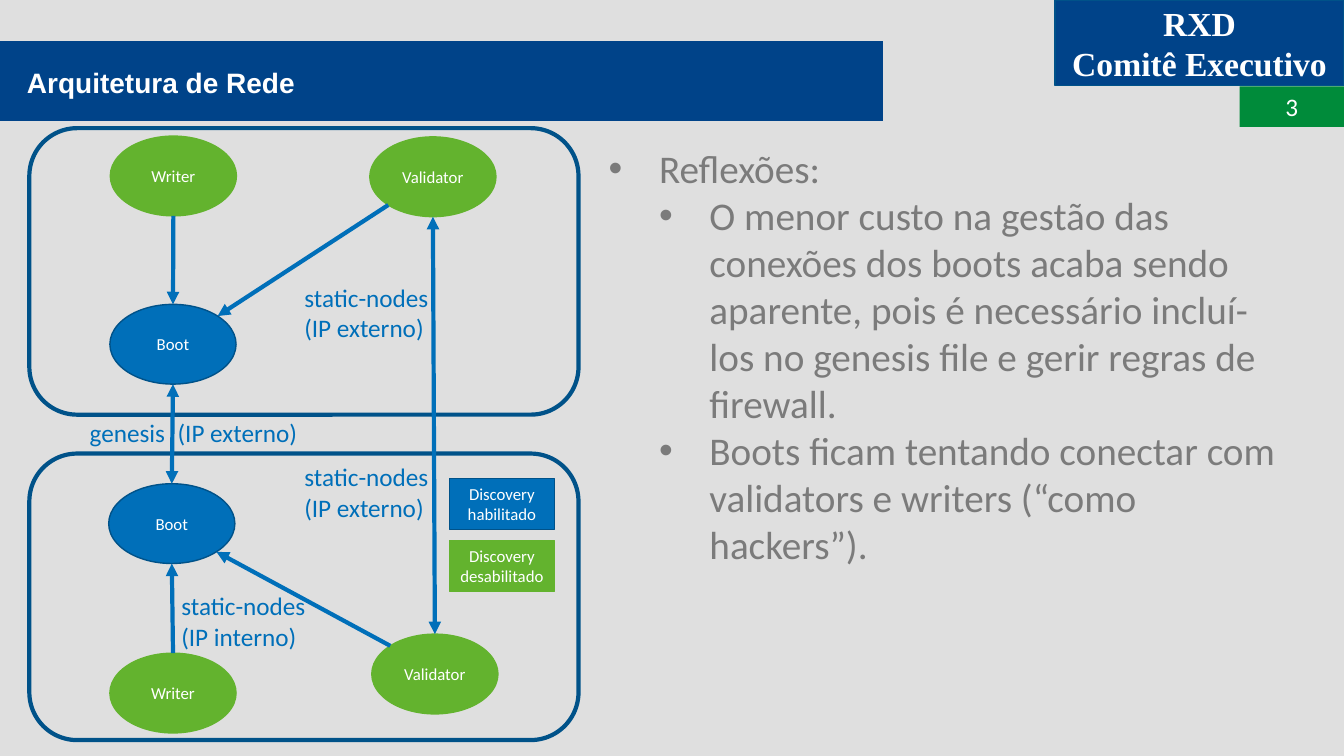
"""Build the network architecture slide."""
import math

import lxml.etree
import pptx
import pptx.dml.color
import pptx.enum.shapes
import pptx.enum.text
import pptx.oxml.ns
import pptx.util

Cm = pptx.util.Cm
Pt = pptx.util.Pt
SHAPES = pptx.enum.shapes.MSO_SHAPE
ALIGN = pptx.enum.text.PP_ALIGN
ANCHOR = pptx.enum.text.MSO_ANCHOR

NAVY, OUTLINE, BLUE, GREEN = "004389", "005289", "006FB9", "63B32E"
WHITE, GRAY = "FFFFFF", "7B7B7B"
ENABLED = {"fill": BLUE, "line": OUTLINE}
DISABLED = {"fill": GREEN, "line": GREEN}

NODE_WIDTH, NODE_HEIGHT = 3.18, 2.01
TOP, TOP_LEFT, TOP_RIGHT, BOTTOM, BOTTOM_LEFT, BOTTOM_RIGHT = 90, 135, 45, 270, 225, 315

NODES = {
    "upper writer": ("Writer", 2.78, 3.43, DISABLED),
    "upper validator": ("Validator", 9.32, 3.45, DISABLED),
    "upper boot": ("Boot", 2.77, 7.67, ENABLED),
    "lower boot": ("Boot", 2.74, 12.19, ENABLED),
    "lower writer": ("Writer", 2.77, 16.46, DISABLED),
    "lower validator": ("Validator", 9.37, 15.98, DISABLED),
}
LINKS = [
    ("upper writer", BOTTOM, "upper boot", TOP, False),
    ("upper validator", BOTTOM_LEFT, "upper boot", TOP_RIGHT, False),
    ("lower boot", TOP, "upper boot", BOTTOM, True),
    ("lower writer", TOP, "lower boot", BOTTOM, False),
    ("lower validator", TOP_LEFT, "lower boot", BOTTOM_RIGHT, False),
    ("lower validator", TOP, "upper validator", BOTTOM, True),
]
LABELS = [
    (["static-nodes", "(IP externo)"], (7.42, 6.99, 3.84, 1.8)),
    (["genesis\u2002(IP externo)"], (2.01, 10.39, 5.77, 1.02)),
    (["static-nodes", "(IP externo)"], (7.42, 11.51, 3.84, 1.8)),
    (["static-nodes", "(IP interno)"], (4.32, 14.76, 3.84, 1.8)),
]
REFLECTIONS = [
    (0, "Reflexões:"),
    (1, "O menor custo na gestão das conexões dos boots acaba sendo aparente, pois é "
        "necessário incluí-los no genesis file e gerir regras de firewall."),
    (1, "Boots ficam tentando conectar com validators e writers (“como hackers”)."),
]


def color(value):
    """Turn a hex string into a colour."""
    return pptx.dml.color.RGBColor.from_string(value)


def add_xml(parent, tag, **attributes):
    """Append a DrawingML element to a parent."""
    return lxml.etree.SubElement(parent, pptx.oxml.ns.qn(tag), attributes)


def write(shape, lines, size, font="Calibri", ink=WHITE, bold=False, align=ALIGN.CENTER):
    """Write one paragraph per line and return the paragraphs."""
    frame = shape.text_frame
    frame.word_wrap = True
    frame.text = "\n".join(lines)
    for paragraph in frame.paragraphs:
        paragraph.alignment = align
        for name, value in {"name": font, "size": Pt(size), "bold": bold}.items():
            setattr(paragraph.font, name, value)
        paragraph.font.color.rgb = color(ink)
    return frame.paragraphs


def add_box(slide, kind, box, fill=None, line=None, width=1):
    """Add a preset shape with an optional fill and outline."""
    shape = slide.shapes.add_shape(kind, *map(Cm, box))
    shape.shadow.inherit = False
    if fill:
        shape.fill.solid()
        shape.fill.fore_color.rgb = color(fill)
    else:
        shape.fill.background()
    if line:
        shape.line.color.rgb = color(line)
        shape.line.width = Pt(width)
    else:
        shape.line.fill.background()
    return shape


def add_text(slide, lines, box, size, ink, **style):
    """Add a left-aligned text box and return its paragraphs."""
    text_box = slide.shapes.add_textbox(*map(Cm, box))
    return write(text_box, lines, size, ink=ink, align=ALIGN.LEFT, **style)


def node_point(name, angle):
    """Find the point on a node's edge at an angle in degrees."""
    _, left, top, _ = NODES[name]
    x = left + NODE_WIDTH / 2 * (1 + math.cos(math.radians(angle)))
    y = top + NODE_HEIGHT / 2 * (1 - math.sin(math.radians(angle)))
    return Cm(x), Cm(y)


def add_link(slide, source, source_angle, target, target_angle, both_ways):
    """Draw an arrow between two nodes."""
    connector = slide.shapes.add_connector(
        pptx.enum.shapes.MSO_CONNECTOR.STRAIGHT,
        *node_point(source, source_angle), *node_point(target, target_angle))
    connector.line.color.rgb = color(BLUE)
    connector.line.width = Pt(3)
    line = connector.line._get_or_add_ln()
    if both_ways:
        add_xml(line, "a:headEnd", type="triangle")
    add_xml(line, "a:tailEnd", type="triangle")
    add_xml(connector._element.spPr, "a:effectLst")


def add_header(slide):
    """Add the backdrop, title bar, committee name and page number."""
    backdrop = add_box(slide, SHAPES.RECTANGLE, (0, 0, 33.87, 19.05), "D9D9D9")
    tint = backdrop._element.spPr.find(".//" + pptx.oxml.ns.qn("a:srgbClr"))
    add_xml(tint, "a:alpha", val="82000")
    number = add_box(slide, SHAPES.RECTANGLE, (31.24, 2.18, 2.63, 1.02), "008B3A")
    write(number, ["3"], 18)
    committee = add_box(slide, SHAPES.RECTANGLE, (26.59, 0, 7.28, 2.16), NAVY, OUTLINE)
    write(committee, ["RXD", "Comitê Executivo"], 24, "Times New Roman", bold=True)
    add_box(slide, SHAPES.RECTANGLE, (0, 1.04, 22.25, 2.01), NAVY)
    title, = add_text(slide, ["Arquitetura de Rede"], (0.43, 1.52, 9, 1.04), 20, WHITE,
                      font="Arial", bold=True)
    title.space_after = Pt(4)


def add_network(slide):
    """Add both organisations with their nodes, links, labels and legend."""
    for top in (3.23, 11.43):
        add_box(slide, SHAPES.ROUNDED_RECTANGLE, (0.74, top, 13.84, 7.22), line=OUTLINE, width=3)
    for text, left, top, style in NODES.values():
        node = add_box(slide, SHAPES.OVAL, (left, top, NODE_WIDTH, NODE_HEIGHT), **style)
        write(node, [text], 12)
    for link in LINKS:
        add_link(slide, *link)
    for lines, box in LABELS:
        add_text(slide, lines, box, 18, BLUE)
    for state, top, style in (("habilitado", 12.06, ENABLED), ("desabilitado", 13.62, DISABLED)):
        key = add_box(slide, SHAPES.RECTANGLE, (11.33, top, 2.64, 1.28), **style)
        for side in ("margin_left", "margin_right"):
            setattr(key.text_frame, side, Cm(0.1))
        write(key, ["Discovery", state], 12)


def add_reflections(slide):
    """Add the bulleted reflections."""
    texts = [text for _, text in REFLECTIONS]
    paragraphs = add_text(slide, texts, (15.09, 3.51, 17.73, 15.04), 28, GRAY)
    for paragraph, (level, _) in zip(paragraphs, REFLECTIONS):
        paragraph.level = level
        properties = paragraph._p.get_or_add_pPr()
        properties.set("marL", str(Cm(1.27 * (level + 1))))
        properties.set("indent", str(-Cm(1.27)))
        bullet = [lxml.etree.Element(pptx.oxml.ns.qn("a:buFont"), typeface="Arial"),
                  lxml.etree.Element(pptx.oxml.ns.qn("a:buChar"), char="•")]
        for position, element in enumerate(bullet):
            properties.insert(position, element)


def main():
    """Build and save the presentation."""
    presentation = pptx.Presentation()
    presentation.slide_width, presentation.slide_height = Cm(33.87), Cm(19.05)
    slide = presentation.slides.add_slide(presentation.slide_layouts[6])
    add_header(slide)
    add_network(slide)
    add_reflections(slide)
    presentation.save("out.pptx")


main()
